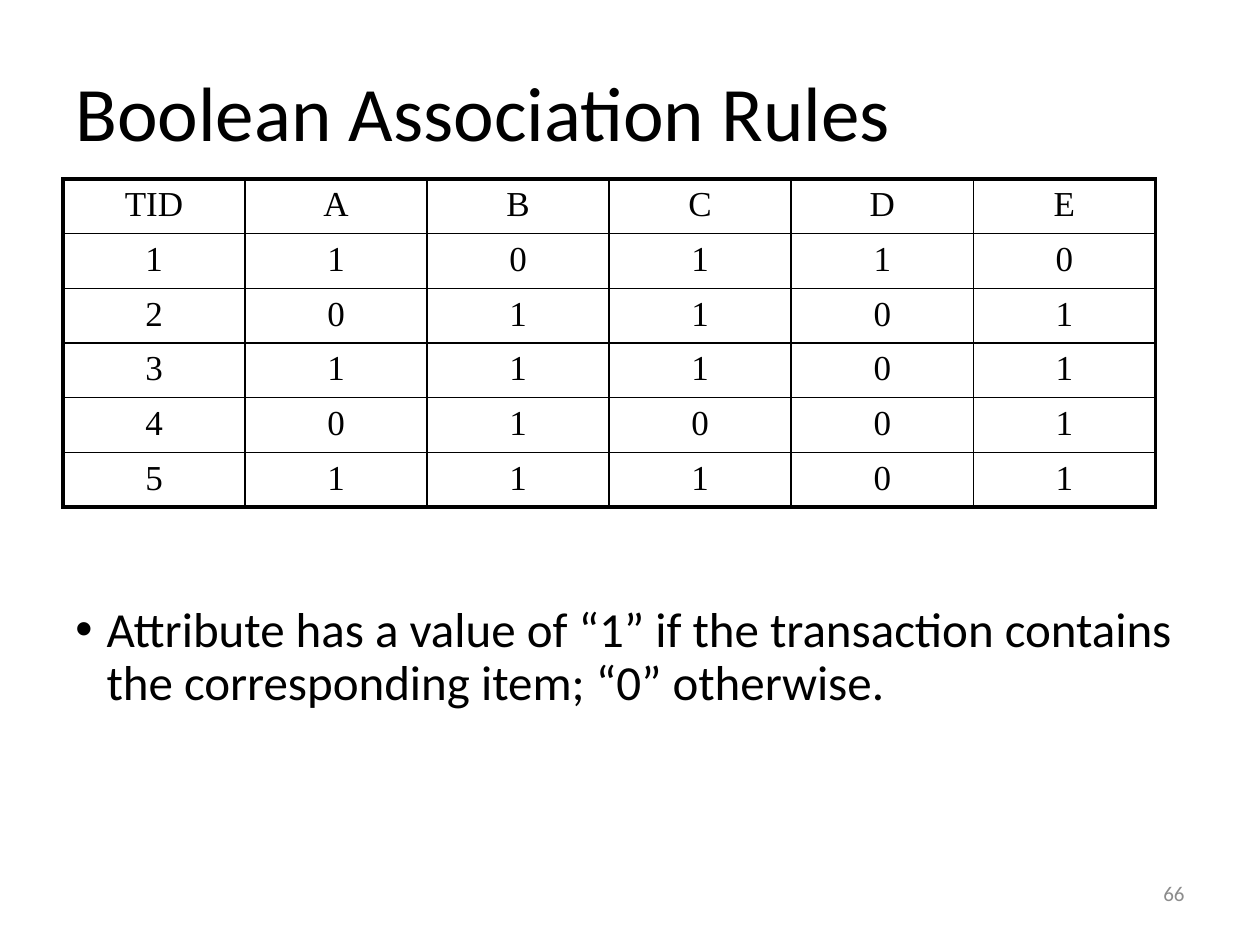
from lxml import etree
from pptx import Presentation
from pptx.dml.color import RGBColor
from pptx.enum.text import MSO_ANCHOR, PP_ALIGN
from pptx.oxml.ns import qn
from pptx.util import Cm, Pt

LEFT, CENTER, RIGHT = PP_ALIGN.LEFT, PP_ALIGN.CENTER, PP_ALIGN.RIGHT
TOP, MIDDLE = MSO_ANCHOR.TOP, MSO_ANCHOR.MIDDLE
COLORS = {"text": "000000", "border": "000000", "number": "8C8C8C"}


def add_text(paragraph, text, size, font, color, alignment):
    paragraph.alignment = alignment
    run = paragraph.add_run()
    run.text = text
    run.font.size = Pt(size)
    run.font.name = font
    run.font.color.rgb = RGBColor.from_string(COLORS[color])


def add_border(cell, side, width):
    line = etree.SubElement(cell._tc.get_or_add_tcPr(), qn("a:" + side), w=str(Pt(width)))
    fill = etree.SubElement(line, qn("a:solidFill"))
    etree.SubElement(fill, qn("a:srgbClr"), val=COLORS["border"])


presentation = Presentation()
presentation.slide_width = Cm(25.4)
presentation.slide_height = Cm(19.05)
slide = presentation.slides.add_slide(presentation.slide_layouts[6])

text_boxes = [
    ("66", 18.21, 17.35, 5.92, 1.32, 12, "number", RIGHT, MIDDLE),
    ("Boolean Association Rules", 1.27, 0.76, 22.86, 3.18, 44, "text", LEFT, MIDDLE),
    ("Attribute has a value of “1” if the transaction contains the corresponding item; “0” otherwise.",
     1.27, 12.07, 22.86, 4.72, 28, "text", LEFT, TOP),
]
paragraphs = []
for text, left, top, width, height, size, color, alignment, anchor in text_boxes:
    shape = slide.shapes.add_textbox(Cm(left), Cm(top), Cm(width), Cm(height))
    shape.text_frame.word_wrap = True
    shape.text_frame.vertical_anchor = anchor
    paragraph = shape.text_frame.paragraphs[0]
    add_text(paragraph, text, size, "Calibri", color, alignment)
    paragraphs.append(paragraph)

number, title, bullet = paragraphs
title.line_spacing = 0.9
bullet.line_spacing = 0.9
bullet.space_before = Pt(10)
properties = bullet._p.get_or_add_pPr()
properties.set("marL", str(Cm(0.63)))
properties.set("indent", str(Cm(-0.63)))
etree.SubElement(properties, qn("a:buFont"), typeface="Arial")
etree.SubElement(properties, qn("a:buChar"), char="•")

transactions = ["TID A B C D E", "1 1 0 1 1 0", "2 0 1 1 0 1",
                "3 1 1 1 0 1", "4 0 1 0 0 1", "5 1 1 1 0 1"]
rows = [transaction.split() for transaction in transactions]
last = len(rows) - 1
table = slide.shapes.add_table(6, 6, Cm(1.27), Cm(3.61), Cm(22.02), Cm(6.24)).table
table.first_row = False
table.horz_banding = False
for column in table.columns:
    column.width = Cm(3.67)
for row_index, values in enumerate(rows):
    table.rows[row_index].height = Cm(1.04)
    for column_index, value in enumerate(values):
        cell = table.cell(row_index, column_index)
        paragraph = cell.text_frame.paragraphs[0]
        add_text(paragraph, value, 20, "Times New Roman", "text", CENTER)
        outer_sides = {"lnL": column_index == 0, "lnR": column_index == last,
                       "lnT": row_index == 0, "lnB": row_index == last}
        for side, is_outer in outer_sides.items():
            add_border(cell, side, 2.25 if is_outer else 1)
        cell.fill.background()

presentation.save("out.pptx")
